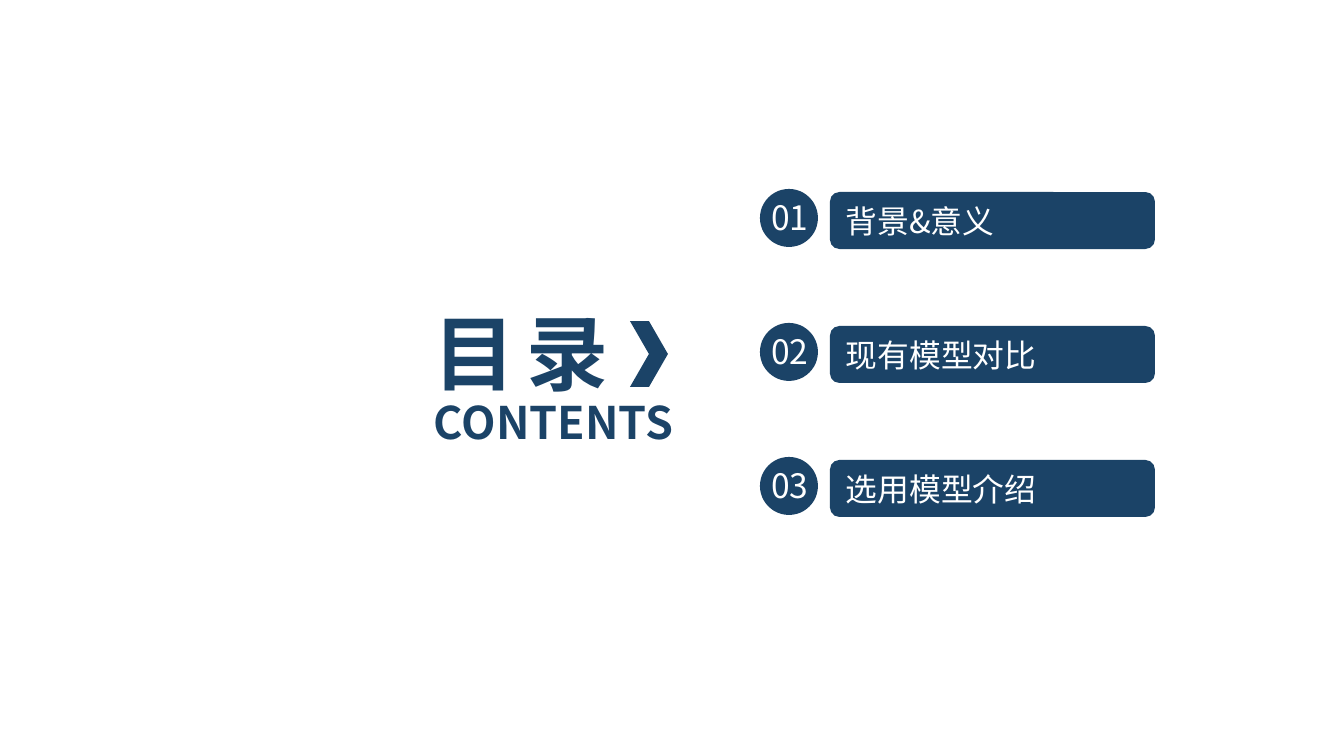
"""Build a contents slide with a heading and three numbered topic bars."""
import pptx
import pptx.dml.color
import pptx.enum.shapes
import pptx.enum.text
import pptx.oxml.ns
import pptx.util
from lxml import etree

TOPICS = ["背景&意义", "现有模型对比", "选用模型介绍"]
TITLE, SUBTITLE = "目 录", "CONTENTS"
THEME = {
    "font": "Noto Sans CJK SC",
    "navy": pptx.dml.color.RGBColor.from_string("1B4367"),
    "white": pptx.dml.color.RGBColor.from_string("FFFFFF"),
    "title": 44, "subtitle": 24, "number": 18, "topic": 17,
}
SLIDE = (1344, 756)
FIRST_TOP, PITCH = 192, 134
INSET = 13
SHAPE = pptx.enum.shapes.MSO_SHAPE
ALIGN = pptx.enum.text.PP_ALIGN


def px(n):
    return round(n * 914400 / 134.4)


def add_shape(s, kind, *box):
    sp = s.shapes.add_shape(kind, *map(px, box))
    sp.shadow.inherit = False
    sp.fill.solid()
    sp.fill.fore_color.rgb = THEME["navy"]
    sp.line.fill.background()
    return sp


def write(sp, text, role, color, align=ALIGN.LEFT, bold=False, spacing=None):
    tf = sp.text_frame
    tf.word_wrap = True
    tf.auto_size = pptx.enum.text.MSO_AUTO_SIZE.NONE
    tf.vertical_anchor = pptx.enum.text.MSO_ANCHOR.MIDDLE
    tf.margin_left = tf.margin_right = px(INSET)
    tf.margin_top = tf.margin_bottom = 0
    p = tf.paragraphs[0]
    p.alignment = align
    r = p.add_run()
    r.text = text
    r.font.size = pptx.util.Pt(THEME[role])
    r.font.bold = bold
    r.font.color.rgb = THEME[color]
    r.font.name = THEME["font"]
    rpr = r._r.get_or_add_rPr()
    etree.SubElement(rpr, pptx.oxml.ns.qn("a:ea"), typeface=THEME["font"])
    if spacing is not None:
        rpr.set("spc", str(round(spacing * 100)))


def add_topic(s, index, topic):
    top = FIRST_TOP + index * PITCH
    bar = add_shape(s, SHAPE.ROUNDED_RECTANGLE, 830, top, 325, 57)
    write(bar, topic, "topic", "white")
    add_shape(s, SHAPE.OVAL, 760, top - 3, 58, 58)
    number = s.shapes.add_textbox(*map(px, (755, top - 2, 70, 54)))
    write(number, f"{index + 1:02d}", "number", "white", ALIGN.CENTER)


def main():
    prs = pptx.Presentation()
    prs.slide_width, prs.slide_height = map(px, SLIDE)
    s = prs.slides.add_slide(prs.slide_layouts[5])
    title = s.shapes.title
    title.left, title.top, title.width, title.height = map(px, (421, 295, 316, 113))
    write(title, TITLE, "title", "navy", bold=True, spacing=-2.2)
    subtitle = s.shapes.add_textbox(*map(px, (421, 388, 310, 67)))
    write(subtitle, SUBTITLE, "subtitle", "navy", bold=True)
    add_shape(s, SHAPE.CHEVRON, 630, 321, 38, 66)
    for index, topic in enumerate(TOPICS):
        add_topic(s, index, topic)
    prs.save("out.pptx")


if __name__ == "__main__":
    main()
